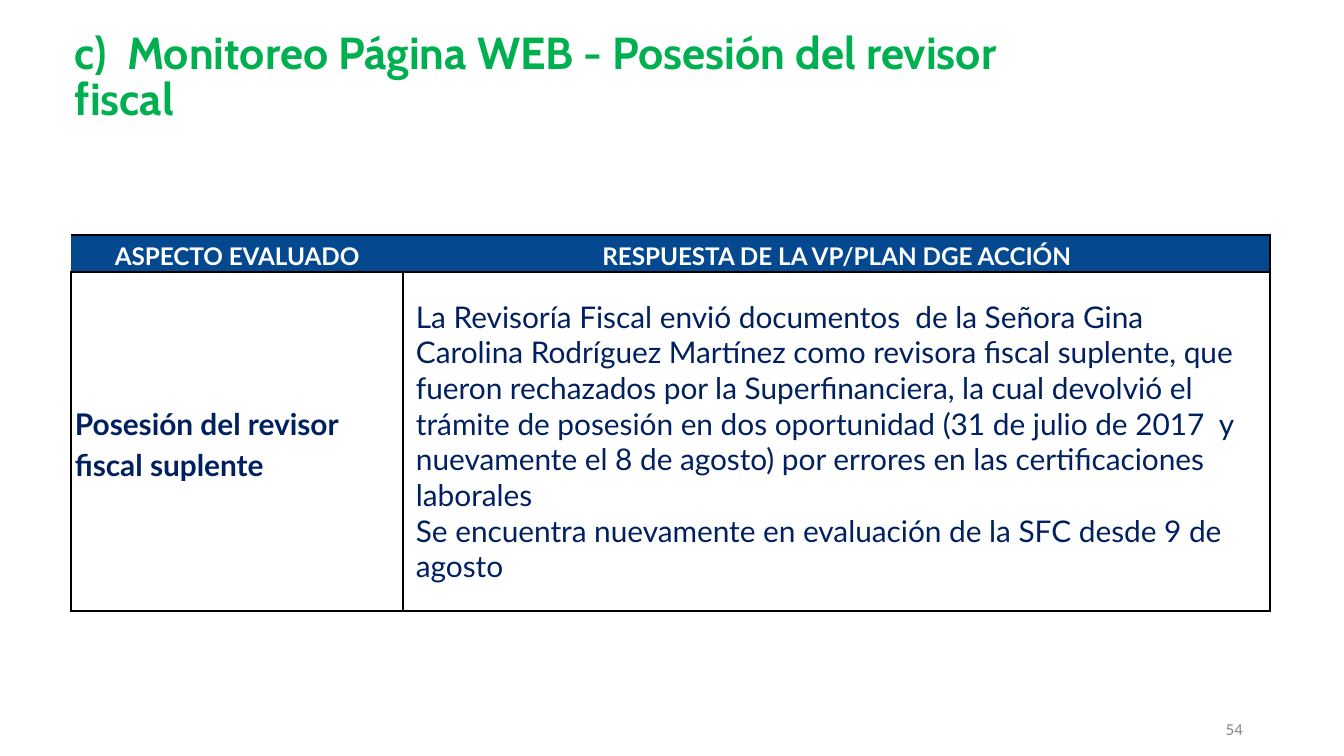
from lxml.etree import SubElement
from pptx import Presentation
from pptx.dml.color import RGBColor
from pptx.enum.text import MSO_ANCHOR, PP_ALIGN
from pptx.oxml.ns import qn
from pptx.util import Pt

EMU_PER_PX = 914400 / 134.4
COLORS = {
    "title": "00B050",
    "header": "044990",
    "body": "002060",
    "number": "848484",
    "border": "000000",
    "white": "FFFFFF",
}
HEADERS = ["ASPECTO EVALUADO", "RESPUESTA DE LA VP/PLAN DGE ACCIÓN"]
ASPECT = "Posesión del revisor fiscal suplente"
ANSWER = [
    "La Revisoría Fiscal envió documentos  de la Señora Gina Carolina Rodríguez Martínez "
    "como revisora fiscal suplente, que fueron rechazados por la Superfinanciera, la cual "
    "devolvió el trámite de posesión en dos oportunidad (31 de julio de 2017  y nuevamente "
    "el 8 de agosto) por errores en las certificaciones laborales",
    "Se encuentra nuevamente en evaluación de la SFC desde 9 de agosto",
]


def px(length):
    return round(length * EMU_PER_PX)


class Deck:
    def __init__(self, width, height):
        self.presentation = Presentation()
        self.presentation.slide_width = px(width)
        self.presentation.slide_height = px(height)
        self.slide = self.presentation.slides.add_slide(self.presentation.slide_layouts[5])

    def set_text(self, frame, paragraphs, size, color, font="Lato", bold=False,
                 align=PP_ALIGN.LEFT, spacing=1.0):
        frame.word_wrap = True
        frame.text = "\n".join(paragraphs)
        for paragraph in frame.paragraphs:
            paragraph.alignment = align
            paragraph.line_spacing = spacing
            paragraph.space_before = Pt(0)
            paragraph.font.name = font
            paragraph.font.size = Pt(size)
            paragraph.font.bold = bold
            paragraph.font.color.rgb = RGBColor.from_string(COLORS[color])

    def fit(self, frame, anchor):
        frame.margin_left = frame.margin_right = frame.margin_top = frame.margin_bottom = 0
        frame.vertical_anchor = anchor

    def title(self, text, left, top, width, height):
        heading = self.slide.shapes.title
        heading.left, heading.top = px(left), px(top)
        heading.width, heading.height = px(width), px(height)
        self.fit(heading.text_frame, MSO_ANCHOR.MIDDLE)
        self.set_text(heading.text_frame, [text], 24, "title", "Cabin", True, spacing=0.85)

    def page_number(self, text, left, top, width, height):
        number = self.slide.shapes.add_textbox(px(left), px(top), px(width), px(height))
        self.fit(number.text_frame, MSO_ANCHOR.BOTTOM)
        self.set_text(number.text_frame, [text], 8, "number", align=PP_ALIGN.RIGHT)

    def table(self, left, top, columns, rows):
        frame = self.slide.shapes.add_table(
            len(rows), len(columns), px(left), px(top), px(sum(columns)), px(sum(rows)))
        grid = frame.table
        grid.first_row = grid.horz_banding = False
        for column, width in zip(grid.columns, columns):
            column.width = px(width)
        for row, height in zip(grid.rows, rows):
            row.height = px(height)
        return grid

    def cell(self, cell, paragraphs, fill, borders, margins, **style):
        cell.margin_left = cell.margin_right = px(margins[0])
        cell.margin_top = cell.margin_bottom = px(margins[1])
        cell.vertical_anchor = MSO_ANCHOR.MIDDLE
        self.set_text(cell.text_frame, paragraphs, **style)
        properties = cell._tc.get_or_add_tcPr()
        for side in "LRTB":
            points = borders.get(side, 0)
            line = SubElement(properties, qn(f"a:ln{side}"), w=str(Pt(points)))
            if points:
                solid = SubElement(line, qn("a:solidFill"))
                SubElement(solid, qn("a:srgbClr"), val=COLORS["border"])
            else:
                SubElement(line, qn("a:noFill"))
        cell.fill.solid()
        cell.fill.fore_color.rgb = RGBColor.from_string(COLORS[fill])


def main():
    deck = Deck(1344, 756)
    deck.title("c)  Monitoreo Página WEB - Posesión del revisor fiscal", 75, 25, 996, 108)
    review = deck.table(71, 235, [332, 867], [37, 339])
    tight = (4, 1)
    header_borders = [{"T": 1.5, "B": 1}, {"T": 1.5, "R": 1.5, "B": 1}]
    for column, (heading, borders) in enumerate(zip(HEADERS, header_borders)):
        deck.cell(review.cell(0, column), [heading], "header", borders, tight, size=13,
                  color="white", bold=True, align=PP_ALIGN.CENTER, spacing=1.15)
    box = dict.fromkeys("LRTB", 1)
    deck.cell(review.cell(1, 0), [ASPECT], "white", box, tight, size=16,
              color="body", bold=True, spacing=1.15)
    deck.cell(review.cell(1, 1), ANSWER, "white", box, (13, 6), size=16, color="body")
    deck.page_number("54", 1200, 722, 43, 17)
    deck.presentation.save("out.pptx")


if __name__ == "__main__":
    main()
